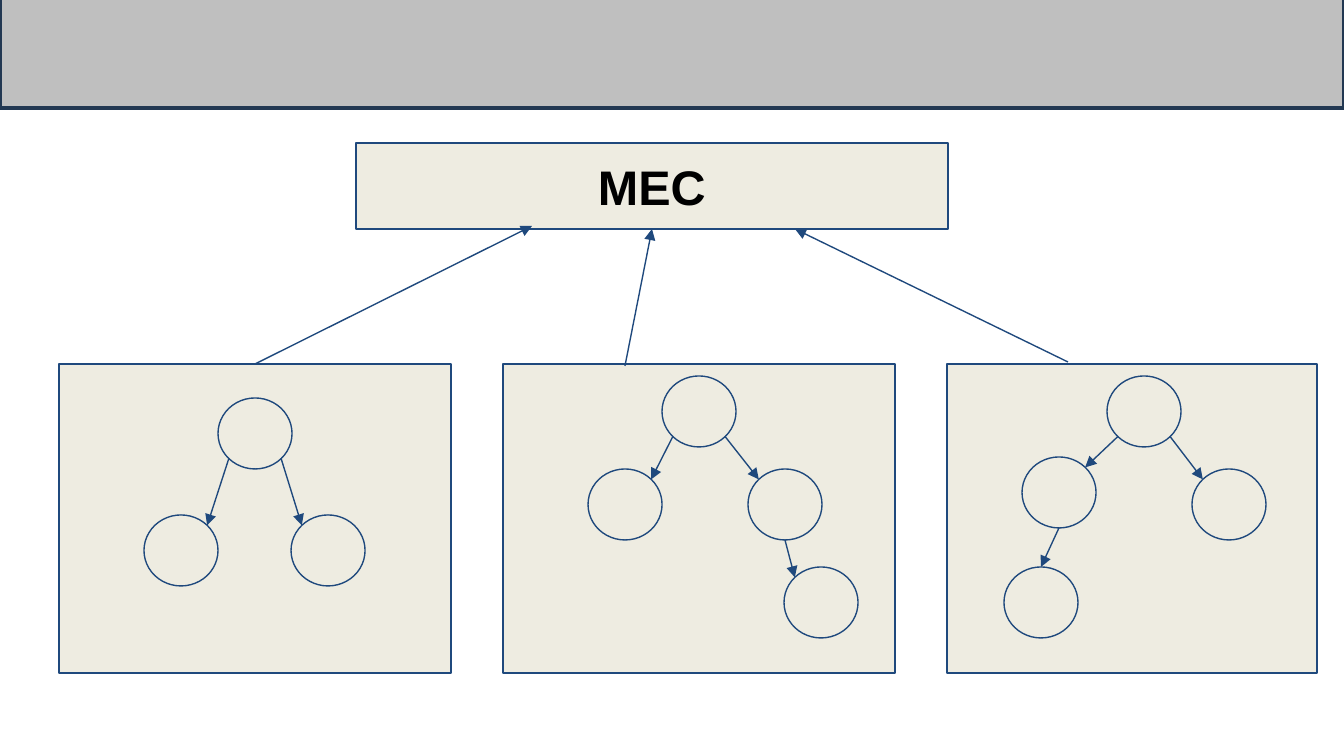
from pptx import Presentation
from pptx import util as u
from pptx.dml.color import RGBColor
from pptx.enum import shapes, text
from pptx.oxml.ns import qn
from lxml import etree
import math

EMU_PER_PX = 914400 / 134.4
COLORS = {
    "banner": "BFBFBF",
    "banner_line": "223852",
    "panel": "EEECE1",
    "line": "1F497D",
    "text": "000000",
}
NODE_WIDTH, NODE_HEIGHT = 74, 71
PANEL_TOP, PANEL_HEIGHT = 364, 309
DIAGONAL = math.sqrt(0.5)

# Points on a node's rim, as parts of its half width and half height
RIM = {
    "top": (0, -1),
    "bottom": (0, 1),
    "top left": (-DIAGONAL, -DIAGONAL),
    "top right": (DIAGONAL, -DIAGONAL),
    "bottom left": (-DIAGONAL, DIAGONAL),
    "bottom right": (DIAGONAL, DIAGONAL),
}

# Every tree starts with a root and its two children
ROOT_EDGES = [
    (0, "bottom left", 1, "top right"),
    (0, "bottom right", 2, "top left"),
]

# Panel left and width, node corners, extra edges, arrow to the top box
TREES = [
    {"panel": (59, 392),
     "nodes": [(218, 398), (144, 515), (291, 515)],
     "edges": [],
     "arrow": ((255, 364), (532, 226))},
    {"panel": (503, 392),
     "nodes": [(662, 376), (588, 469), (748, 469), (784, 567)],
     "edges": [(2, "bottom", 3, "top left")],
     "arrow": ((625, 366), (652, 229))},
    {"panel": (947, 370),
     "nodes": [(1107, 376), (1022, 457), (1192, 469), (1004, 567)],
     "edges": [(1, "bottom", 3, "top")],
     "arrow": ((1068, 362), (795, 229))},
]


def px(value):
    return u.Emu(round(value * EMU_PER_PX))


def color(name):
    return RGBColor.from_string(COLORS[name])


def paint(shape, fill="panel", line="line", line_width=0.75):
    shape.fill.solid()
    shape.fill.fore_color.rgb = color(fill)
    shape.line.color.rgb = color(line)
    shape.line.width = u.Pt(line_width)


def add_box(slide, kind, left, top, width, height, **style):
    shape = slide.shapes.add_shape(kind, px(left), px(top), px(width), px(height))
    shape.shadow.inherit = False
    paint(shape, **style)


def add_arrow(slide, start, end):
    arrow = slide.shapes.add_connector(
        shapes.MSO_CONNECTOR.STRAIGHT, *map(px, (*start, *end)))
    arrow.line.color.rgb = color("line")
    arrow.line.width = u.Pt(0.75)
    properties = arrow._element.spPr
    etree.SubElement(properties.find(qn("a:ln")), qn("a:tailEnd"), type="triangle")
    etree.SubElement(properties, qn("a:effectLst"))


def add_title(slide, wording):
    title = slide.shapes.title
    title.left, title.top, title.width, title.height = map(px, (356, 143, 592, 86))
    paint(title)
    frame = title.text_frame
    frame.text = wording
    frame.auto_size = text.MSO_AUTO_SIZE.NONE
    frame.vertical_anchor = text.MSO_ANCHOR.MIDDLE
    frame.margin_left = frame.margin_right = px(13)
    frame.margin_top = frame.margin_bottom = px(13)
    paragraph = frame.paragraphs[0]
    paragraph.alignment = text.PP_ALIGN.CENTER
    font = paragraph.runs[0].font
    font.name, font.size, font.bold = "Arial", u.Pt(26), True
    font.color.rgb = color("text")


def rim_point(node, place):
    across, down = RIM[place]
    return (node[0] + NODE_WIDTH / 2 * (1 + across),
            node[1] + NODE_HEIGHT / 2 * (1 + down))


def add_tree(slide, tree):
    left, width = tree["panel"]
    add_box(slide, shapes.MSO_SHAPE.RECTANGLE, left, PANEL_TOP, width, PANEL_HEIGHT)
    nodes = tree["nodes"]
    for node in nodes:
        add_box(slide, shapes.MSO_SHAPE.OVAL, *node, NODE_WIDTH, NODE_HEIGHT)
    for parent, leaving, child, entering in ROOT_EDGES + tree["edges"]:
        add_arrow(slide, rim_point(nodes[parent], leaving),
                  rim_point(nodes[child], entering))
    add_arrow(slide, *tree["arrow"])


def main():
    presentation = Presentation()
    presentation.slide_width, presentation.slide_height = px(1344), px(756)
    slide = presentation.slides.add_slide(presentation.slide_layouts[5])

    # Banner and top box
    add_box(slide, shapes.MSO_SHAPE.RECTANGLE, 0, -2, 1344, 110,
            fill="banner", line="banner_line", line_width=2)
    add_title(slide, "MEC")

    # Three trees that point to the top box
    for tree in TREES:
        add_tree(slide, tree)

    presentation.save("out.pptx")


if __name__ == "__main__":
    main()
